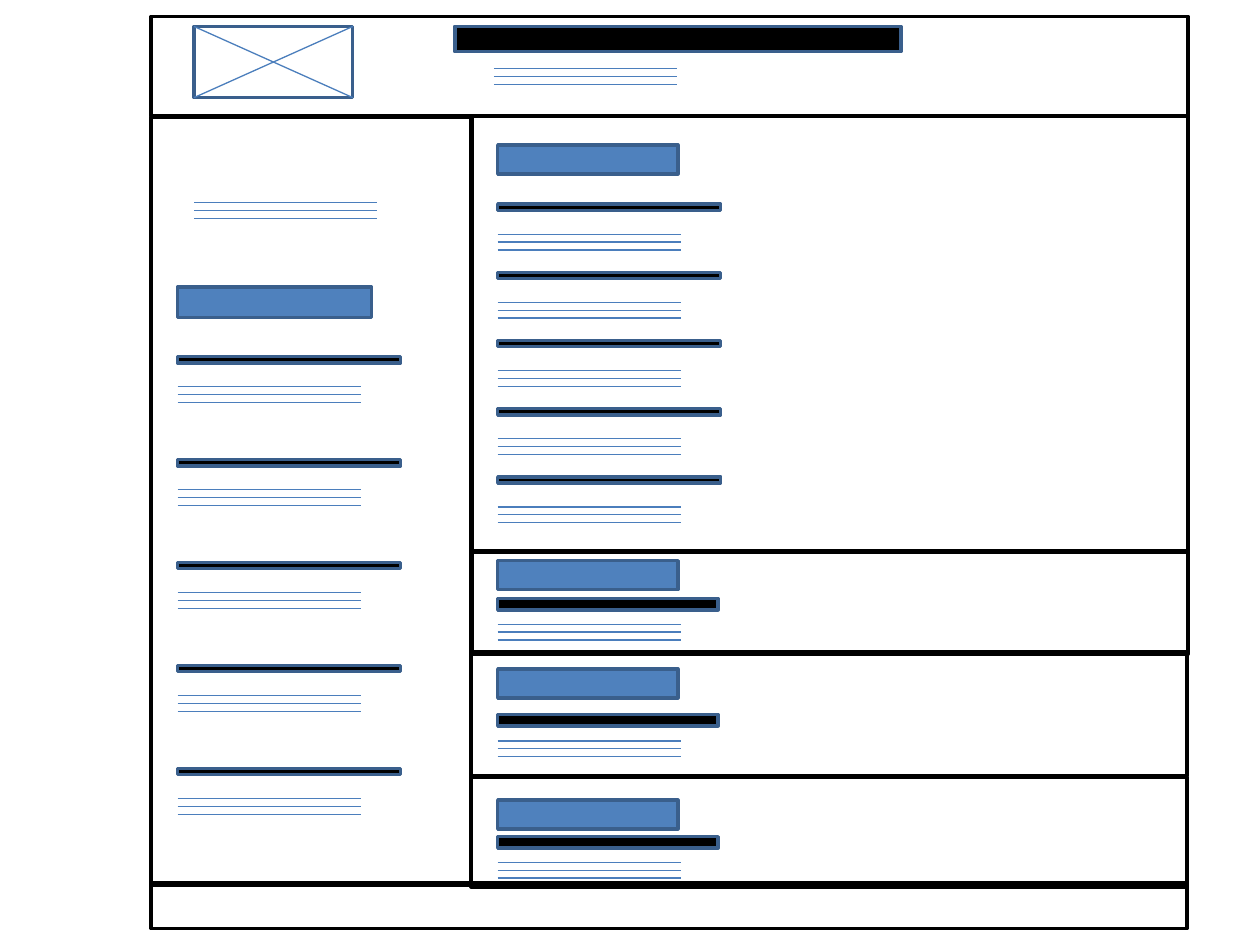
from dataclasses import dataclass
from typing import Optional

from lxml import etree
from pptx import Presentation
from pptx.dml.color import RGBColor
from pptx.enum.shapes import MSO_CONNECTOR, MSO_SHAPE
from pptx.oxml.ns import qn
from pptx.util import Inches, Pt

RECTANGLE = MSO_SHAPE.RECTANGLE
STRAIGHT = MSO_CONNECTOR.STRAIGHT
COLORS = {"ink": "000000", "heading": "4F81BD", "border": "3A5F8C", "rule": "4B7EBC"}
COLUMNS, ROWS = 1000, 750
RULE_WIDTH, RULE_GAP, RULE_COUNT = 145.5, 6.2, 3
SIDEBAR_LEFT, CONTENT_LEFT = 141, 395
ENTRY_COUNT = 5

presentation = Presentation()
presentation.slide_width = Inches(10)
presentation.slide_height = Inches(7.5)
COLUMN = presentation.slide_width / COLUMNS
ROW = presentation.slide_height / ROWS
slide = presentation.slides.add_slide(presentation.slide_layouts[6])
wireframe = slide.shapes.add_group_shape().shapes


@dataclass(frozen=True)
class Box:
    left: float
    top: float
    width: float
    height: float
    border: str = "border"
    fill: Optional[str] = None


@dataclass(frozen=True)
class EntryList:
    left: float
    top: float
    pitch: float


@dataclass(frozen=True)
class Section:
    heading_top: float
    title_top: float
    rules_top: float


def draw_box(box: Box) -> None:
    shape = wireframe.add_shape(
        RECTANGLE,
        round(box.left * COLUMN),
        round(box.top * ROW),
        round(box.width * COLUMN),
        round(box.height * ROW),
    )
    shape.shadow.inherit = False
    shape.line.color.rgb = RGBColor.from_string(COLORS[box.border])
    shape.line.width = Pt(2)
    if box.fill is None:
        shape.fill.background()
    else:
        shape.fill.solid()
        shape.fill.fore_color.rgb = RGBColor.from_string(COLORS[box.fill])


def draw_line(left: float, top: float, right: float, bottom: float) -> None:
    line = wireframe.add_connector(
        STRAIGHT,
        round(left * COLUMN),
        round(top * ROW),
        round(right * COLUMN),
        round(bottom * ROW),
    )
    line.line.color.rgb = RGBColor.from_string(COLORS["rule"])
    line.line.width = Pt(0.75)
    etree.SubElement(line._element.spPr, qn("a:effectLst"))


def draw_rules(left: float, top: float) -> None:
    for index in range(RULE_COUNT):
        height = top + index * RULE_GAP
        draw_line(left, height, left + RULE_WIDTH, height)


def draw_entries(entries: EntryList) -> None:
    for index in range(ENTRY_COUNT):
        top = entries.top + index * entries.pitch
        draw_box(Box(entries.left, top, 177, 5, fill="ink"))
        draw_rules(entries.left, top + 24)


def draw_section(section: Section) -> None:
    draw_box(Box(CONTENT_LEFT, section.heading_top, 143, 23, fill="heading"))
    draw_box(Box(CONTENT_LEFT, section.title_top, 175, 9, fill="ink"))
    draw_rules(CONTENT_LEFT, section.rules_top)


PANELS = [
    Box(120, 13, 823, 79, "ink"),
    Box(375, 437, 568, 82, "ink"),
    Box(375, 92, 568, 346, "ink"),
    Box(374, 517, 568, 99, "ink"),
    Box(374, 617, 568, 87, "ink"),
    Box(120, 93, 254, 610, "ink"),
    Box(120, 701, 822, 36, "ink"),
]
PAGE_TITLE = Box(361, 21, 354, 20, fill="ink")
LOGO_FRAME = Box(154, 21, 126, 56.5)
CONTENT_HEADING = Box(CONTENT_LEFT, 115, 143, 23, fill="heading")
SIDEBAR_HEADING = Box(SIDEBAR_LEFT, 228, 154, 24, fill="heading")
ENTRY_LISTS = [
    EntryList(CONTENT_LEFT, 162, 54.1),
    EntryList(SIDEBAR_LEFT, 283, 81.7),
]
SECTIONS = [
    Section(445, 475, 495.5),
    Section(531, 567, 588),
    Section(635, 664, 684.5),
]

for block in [*PANELS, PAGE_TITLE, LOGO_FRAME, CONTENT_HEADING, SIDEBAR_HEADING]:
    draw_box(block)

frame_right = LOGO_FRAME.left + LOGO_FRAME.width
frame_bottom = LOGO_FRAME.top + LOGO_FRAME.height
draw_line(LOGO_FRAME.left, LOGO_FRAME.top, frame_right, frame_bottom)
draw_line(LOGO_FRAME.left, frame_bottom, frame_right, LOGO_FRAME.top)

draw_rules(392, 54.5)
draw_rules(LOGO_FRAME.left, 161)
for entry_list in ENTRY_LISTS:
    draw_entries(entry_list)
for lower_section in SECTIONS:
    draw_section(lower_section)

presentation.save("out.pptx")
